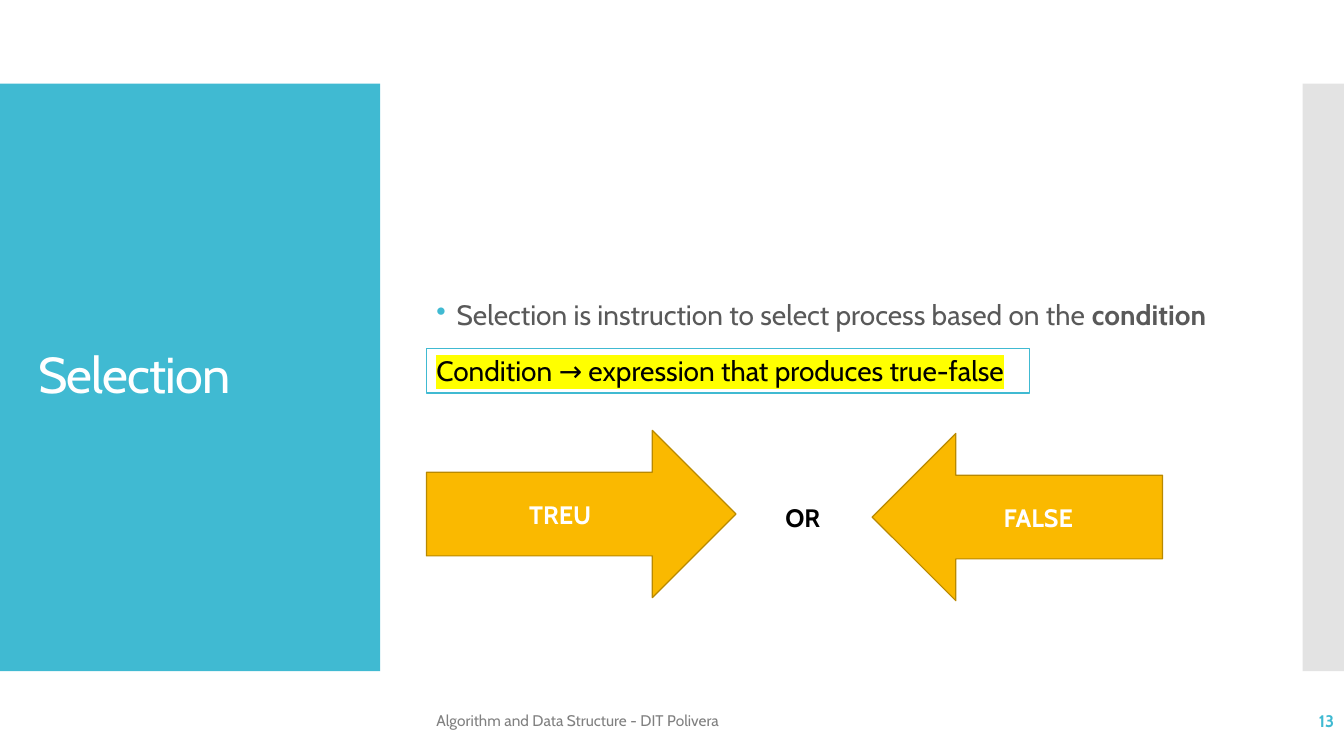
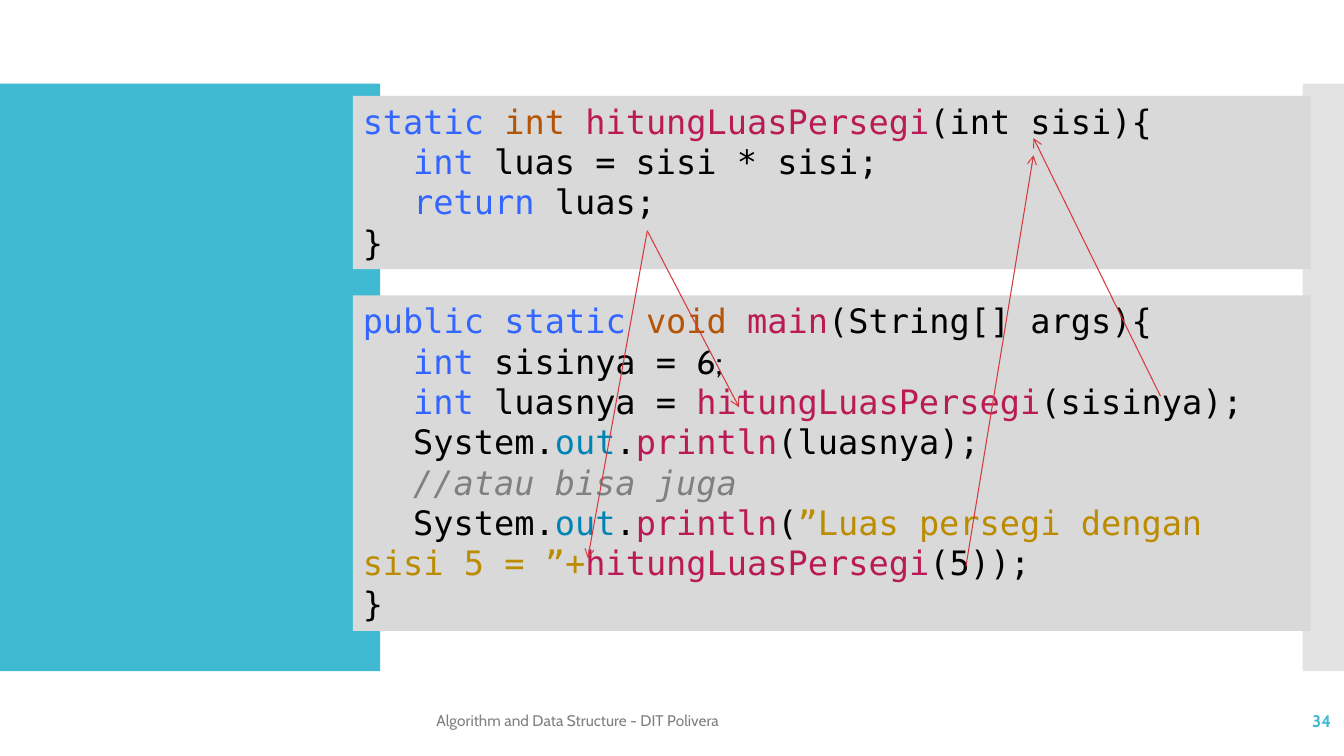
from dataclasses import dataclass

from lxml.etree import SubElement
from pptx import Presentation
from pptx.dml.color import RGBColor
from pptx.enum.shapes import MSO_CONNECTOR, MSO_SHAPE
from pptx.enum.text import MSO_ANCHOR, PP_ALIGN
from pptx.oxml.ns import qn
from pptx.util import Inches, Pt


@dataclass(frozen=True)
class Theme:
    font: str = "Cabin"
    mono: str = "DejaVu Sans Mono"
    accent: str = "40BAD2"
    side: str = "C8C8C8"
    white: str = "FFFFFF"
    black: str = "000000"
    body: str = "595959"
    muted: str = "808080"
    gold: str = "FAB900"
    gold_line: str = "B98900"
    marker: str = "FFFF00"
    code_bg: str = "D9D9D9"
    keyword: str = "3366FF"
    type_name: str = "B35406"
    method: str = "BA1B55"
    field: str = "0084B4"
    string: str = "BB8B00"
    pointer: str = "D5393D"
    title_size: float = 36
    code_size: float = 24
    code_leading: float = 28.8
    body_size: float = 20
    label_size: float = 18
    number_size: float = 12
    footer_size: float = 11


T = Theme()
CONTENT_LEFT = 4.23
FOOTER = "Algorithm and Data Structure - DIT Polivera"


# Text and shape helpers
def rgb(color):
    return RGBColor.from_string(color)


def add_run(p, text, size, color, font=T.font, bold=False, italic=False):
    r = p.add_run()
    r.text = text
    r.font.size = Pt(size)
    r.font.name = font
    r.font.bold = bold
    r.font.italic = italic
    r.font.color.rgb = rgb(color)
    return r


def add_text(slide, box, anchor=MSO_ANCHOR.MIDDLE, align=PP_ALIGN.LEFT, wrap=True):
    tf = slide.shapes.add_textbox(*map(Inches, box)).text_frame
    tf.word_wrap = wrap
    tf.vertical_anchor = anchor
    p = tf.paragraphs[0]
    p.alignment = align
    return p


def add_block(slide, kind, box, fill, line=None, anchor=MSO_ANCHOR.TOP):
    sp = slide.shapes.add_shape(kind, *map(Inches, box))
    sp.shadow.inherit = False
    sp.fill.solid()
    sp.fill.fore_color.rgb = rgb(fill)
    if line:
        sp.line.color.rgb = rgb(line)
        sp.line.width = Pt(0.85)
    else:
        sp.line.fill.background()
    sp.text_frame.word_wrap = True
    sp.text_frame.vertical_anchor = anchor
    sp.text_frame.paragraphs[0].alignment = PP_ALIGN.LEFT
    return sp


def add_bullet(p, color, indent=0.2):
    pPr = p._p.get_or_add_pPr()
    pPr.set("marL", str(Inches(indent)))
    pPr.set("indent", str(-Inches(indent)))
    SubElement(SubElement(pPr, qn("a:buClr")), qn("a:srgbClr"), val=color)
    SubElement(pPr, qn("a:buChar"), char="•")


def highlight(r, color):
    rPr = r._r.get_or_add_rPr()
    mark = SubElement(rPr, qn("a:highlight"))
    SubElement(mark, qn("a:srgbClr"), val=color)
    rPr.find(qn("a:solidFill")).addnext(mark)


def add_pointer(slide, start, end):
    line = slide.shapes.add_connector(
        MSO_CONNECTOR.STRAIGHT, *map(Inches, (*start, *end)))
    line.line.color.rgb = rgb(T.pointer)
    line.line.width = Pt(0.75)
    SubElement(line.line._get_or_add_ln(), qn("a:tailEnd"), type="arrow")
    SubElement(line._element.spPr, qn("a:effectLst"))


def add_choice(slide, kind, box, label):
    sp = add_block(slide, kind, box, T.gold, T.gold_line, MSO_ANCHOR.MIDDLE)
    p = sp.text_frame.paragraphs[0]
    p.alignment = PP_ALIGN.CENTER
    add_run(p, label, T.label_size, T.white, bold=True)


def add_code(slide, top, height, lines):
    """Each line is (indented, tokens); a token is (text, colour, extra font options)."""
    tf = add_block(slide, MSO_SHAPE.RECTANGLE, (3.5, top, 9.5, height),
                   T.code_bg).text_frame
    for i, (indented, tokens) in enumerate(lines):
        p = tf.add_paragraph() if i else tf.paragraphs[0]
        p.alignment = PP_ALIGN.LEFT
        p.line_spacing = Pt(T.code_leading)
        if indented:
            p._p.get_or_add_pPr().set("indent", str(Inches(0.5)))
        for text, color, *options in tokens:
            style = {"font": T.mono, **(options[0] if options else {})}
            add_run(p, text, T.code_size, color, **style)


# Bands, footer and number shared by all slides
def new_slide(prs, number, number_left):
    slide = prs.slides.add_slide(prs.slide_layouts[6])
    add_block(slide, MSO_SHAPE.RECTANGLE, (0, 0.83, 3.77, 5.83), T.accent)
    side = add_block(slide, MSO_SHAPE.RECTANGLE, (12.92, 0.83, 0.42, 5.83), T.side)
    color = side._element.spPr.find(qn("a:solidFill")).find(qn("a:srgbClr"))
    SubElement(color, qn("a:alpha"), val="50000")
    add_run(add_text(slide, (CONTENT_LEFT, 6.95, 6.46, 0.4)),
            FOOTER, T.footer_size, T.muted)
    p = add_text(slide, (number_left, 6.95, 1.67, 0.4), align=PP_ALIGN.RIGHT)
    add_run(p, number, T.number_size, T.accent, bold=True)
    return slide


def selection_slide(prs):
    slide = new_slide(prs, "13", 11.66)

    # Title
    p = add_text(slide, (0.28, 1.23, 3.22, 5.03))
    p.line_spacing = 0.9
    r = add_run(p, "Selection", T.title_size, T.white)
    r._r.get_or_add_rPr().set("spc", "-60")

    # Definition
    p = add_text(slide, (CONTENT_LEFT, 2.87, 8, 0.5))
    add_bullet(p, T.accent)
    add_run(p, "Selection is instruction to select process based on the ",
            T.body_size, T.body)
    add_run(p, "condition", T.body_size, T.body, bold=True)

    # Condition
    sp = add_block(slide, MSO_SHAPE.RECTANGLE, (CONTENT_LEFT, 3.46, 5.98, 0.44),
                   T.white, T.accent)
    r = add_run(sp.text_frame.paragraphs[0],
                "Condition → expression that produces true-false",
                T.body_size, T.black)
    highlight(r, T.marker)

    # Two outcomes
    add_choice(slide, MSO_SHAPE.RIGHT_ARROW, (CONTENT_LEFT, 4.27, 3.07, 1.66), "TREU")
    add_choice(slide, MSO_SHAPE.LEFT_ARROW, (8.65, 4.3, 2.88, 1.66), "FALSE")
    p = add_text(slide, (7.69, 4.93, 0.59, 0.4), MSO_ANCHOR.TOP, wrap=False)
    add_run(p, "OR", T.label_size, T.black, bold=True)


def function_slide(prs):
    slide = new_slide(prs, "34", 11.63)
    call = ("hitungLuasPersegi", T.method)
    int_keyword = ("int ", T.keyword)
    println = [("System.", T.black), ("out", T.field), (".", T.black),
               ("println", T.method)]
    closing = (False, [("}", T.black)])

    # Function definition
    add_code(slide, 0.95, 1.72, [
        (False, [("static ", T.keyword), ("int ", T.type_name), call,
                 ("(int sisi){", T.black)]),
        (True, [int_keyword, ("luas = sisi * sisi;", T.black)]),
        (True, [("return ", T.keyword), ("luas;", T.black)]),
        closing,
    ])

    # Main program
    add_code(slide, 2.93, 3.33, [
        (False, [("public static ", T.keyword), ("void ", T.type_name),
                 ("main", T.method), ("(String[] args){", T.black)]),
        (True, [int_keyword, ("sisinya = ", T.black),
                ("6;", T.black, {"font": T.font})]),
        (True, [int_keyword, ("luasnya = ", T.black), call,
                ("(sisinya);", T.black)]),
        (True, [*println, ("(luasnya);", T.black)]),
        (True, [("//atau bisa juga", T.muted, {"italic": True})]),
        (True, [*println, ("(", T.black),
                ("”Luas persegi dengan sisi 5 = ”+", T.string), call,
                ("(5));", T.black)]),
        closing,
    ])

    # Arguments passed in and values returned
    result = (6.42, 2.29)
    for start, end in [
        ((11.51, 3.93), (10.25, 1.37)),
        (result, (7.33, 4.04)),
        ((9.58, 5.62), (10.25, 1.54)),
        (result, (5.83, 5.54)),
    ]:
        add_pointer(slide, start, end)


def main():
    prs = Presentation()
    prs.slide_width = Inches(13.33)
    prs.slide_height = Inches(7.5)
    selection_slide(prs)
    function_slide(prs)
    prs.save("out.pptx")


if __name__ == "__main__":
    main()
